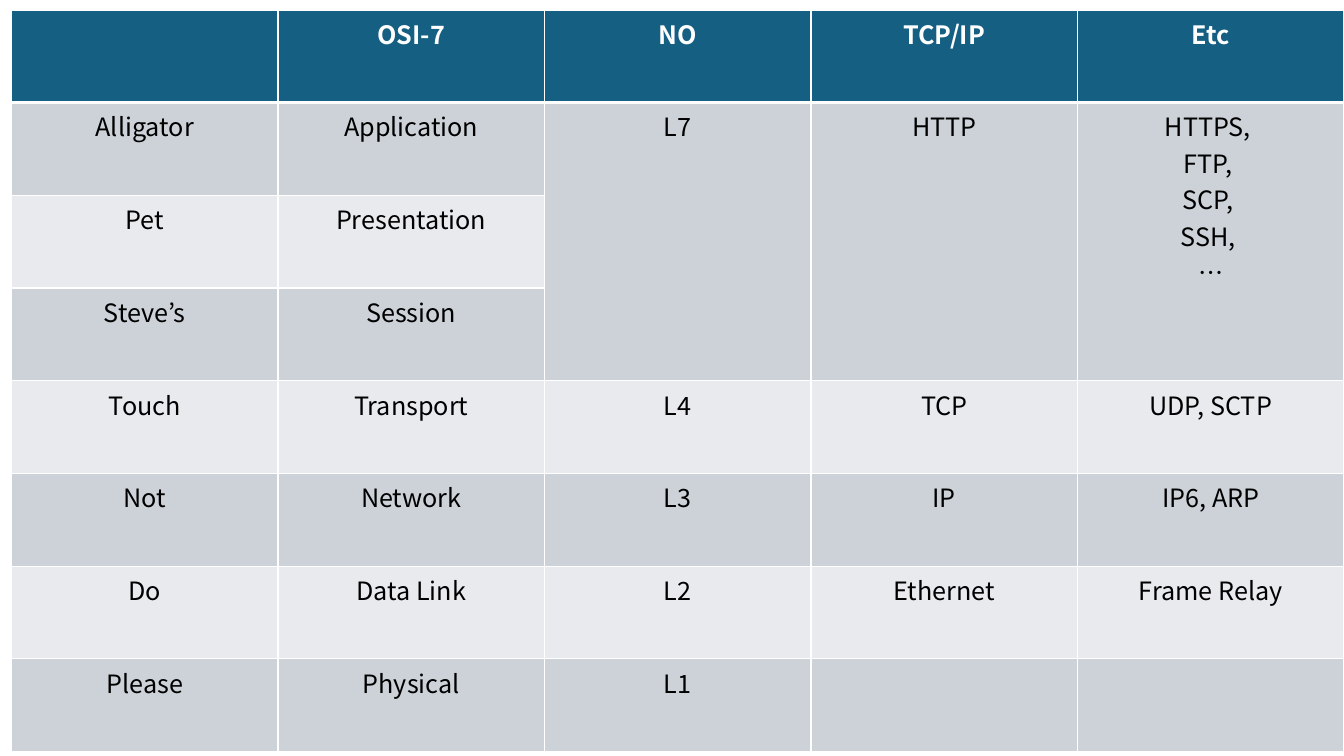
from lxml import etree
from pptx import Presentation
from pptx.dml.color import RGBColor
from pptx.enum import text
from pptx.oxml import ns
from pptx.util import Cm, Pt

FONT = "Noto Sans CJK KR"
WHITE = RGBColor(0xFF, 0xFF, 0xFF)
BLACK = RGBColor(0x00, 0x00, 0x00)
HEADER = RGBColor(0x15, 0x60, 0x82)
BAND_DARK = RGBColor(0xCC, 0xD2, 0xD8)
BAND_LIGHT = RGBColor(0xE8, 0xEA, 0xED)

LAYERS = [
    ["", "OSI-7", "NO", "TCP/IP", "Etc"],
    ["Alligator", "Application", "L7", "HTTP", "HTTPS, \nFTP, \nSCP, \nSSH, \n…"],
    ["Pet", "Presentation", "", "", ""],
    ["Steve’s", "Session", "", "", ""],
    ["Touch", "Transport", "L4", "TCP", "UDP, SCTP"],
    ["Not", "Network", "L3", "IP", "IP6, ARP"],
    ["Do", "Data Link", "L2", "Ethernet", "Frame Relay"],
    ["Please", "Physical", "L1", "", ""],
]


def add_text(tf, content, size=18, color=BLACK, bold=False):
    tf.text = content
    for p in tf.paragraphs:
        p.alignment = text.PP_ALIGN.CENTER
        p.font.size = Pt(size)
        for r in p.runs:
            r.font.size = Pt(size)
            r.font.bold = bold
            r.font.color.rgb = color
            r.font.name = FONT
            ea = etree.SubElement(r.font._element, ns.qn("a:ea"))
            ea.set("typeface", FONT)


def set_borders(cell, **widths):
    tc_pr = cell._tc.get_or_add_tcPr()
    for side in ("L", "R", "T", "B"):
        ln = etree.SubElement(tc_pr, ns.qn(f"a:ln{side}"))
        ln.set("w", str(Pt(widths.get(side, 1))))
        fill = etree.SubElement(ln, ns.qn("a:solidFill"))
        etree.SubElement(fill, ns.qn("a:srgbClr")).set("val", str(WHITE))


def set_fill(cell, color):
    cell.fill.solid()
    cell.fill.fore_color.rgb = color


def format_cell(cell, content, row):
    if row == 0:
        set_borders(cell, B=3)
        set_fill(cell, HEADER)
        add_text(cell.text_frame, content, color=WHITE, bold=True)
    else:
        set_borders(cell, T=3 if row == 1 else 1)
        set_fill(cell, BAND_DARK if row % 2 else BAND_LIGHT)
        add_text(cell.text_frame, content)


def add_layer_table(s):
    rows, cols = len(LAYERS), len(LAYERS[0])
    frame = s.shapes.add_table(rows, cols, Cm(0.29), Cm(0.25), Cm(33.58), Cm(18.69))
    table = frame.table
    for row, values in enumerate(LAYERS):
        for col, value in enumerate(values):
            format_cell(table.cell(row, col), value, row)
    for col in range(2, cols):
        table.cell(1, col).merge(table.cell(3, col))


def main():
    prs = Presentation()
    prs.slide_width = Cm(33.87)
    prs.slide_height = Cm(19.05)
    s = prs.slides.add_slide(prs.slide_layouts[6])
    add_layer_table(s)
    prs.save("out.pptx")


if __name__ == "__main__":
    main()
